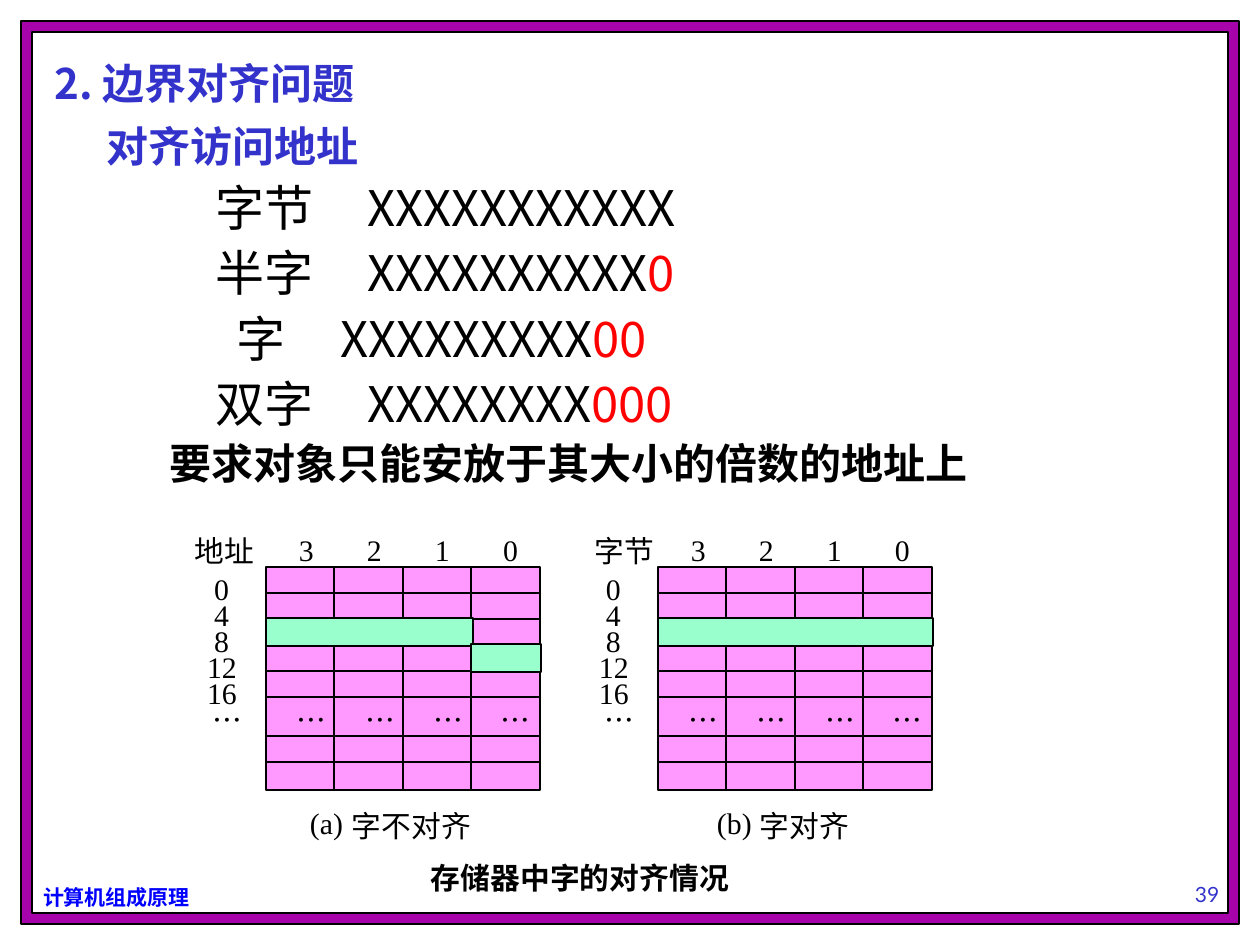
from lxml import etree
from pptx import Presentation
from pptx.dml.color import RGBColor
from pptx.enum.shapes import MSO_CONNECTOR, MSO_SHAPE
from pptx.enum.text import MSO_ANCHOR, PP_ALIGN
from pptx.oxml.ns import qn
from pptx.util import Pt

RECT = MSO_SHAPE.RECTANGLE
STRAIGHT = MSO_CONNECTOR.STRAIGHT
LEFT = PP_ALIGN.LEFT
MIDDLE = MSO_ANCHOR.MIDDLE
PX = 914400 // 126
COLORS = {
    "black": "000000", "white": "FFFFFF", "purple": "A603AB", "indigo": "3333CC",
    "blue": "0000FF", "red": "FF0000", "pink": "FF99FF", "mint": "99FFCC",
}
CJK, SERIF, SANS = "Noto Sans CJK SC", "Times New Roman", "Lato"


def style(r, size, font=CJK, color="black", bold=False):
    r.font.size = Pt(size)
    r.font.name = font
    r.font.bold = bold
    r.font.color.rgb = RGBColor.from_string(COLORS[color])
    ea = etree.SubElement(r.font._element, qn("a:ea"))
    ea.set("typeface", font)


def box(x, y, w, h, fill, weight=1.25):
    sp = s.shapes.add_shape(RECT, x * PX, y * PX, w * PX, h * PX)
    sp.shadow.inherit = False
    sp.fill.solid()
    sp.fill.fore_color.rgb = RGBColor.from_string(COLORS[fill])
    sp.line.color.rgb = RGBColor.from_string(COLORS["black"])
    sp.line.width = Pt(weight)
    return sp


prs = Presentation()
prs.slide_width, prs.slide_height = 1260 * PX, 945 * PX
s = prs.slides.add_slide(prs.slide_layouts[5])

box(21, 21, 1218, 903, "purple", 0.75)
box(32, 32, 1196, 881, "white", 0.75)

title = s.shapes.title
s.shapes._spTree.append(title._element)
title.left, title.top, title.width, title.height = 42 * PX, 42 * PX, 976 * PX, 82 * PX
tf = title.text_frame
tf.text = "2. 边界对齐问题"
tf.vertical_anchor = MIDDLE
tf.paragraphs[0].alignment = LEFT
style(tf.paragraphs[0].runs[0], 24, color="indigo", bold=True)

body = s.shapes.add_textbox(94 * PX, 116 * PX, 1072 * PX, 336 * PX)
tf = body.text_frame
tf.word_wrap = True
p = tf.paragraphs[0]
p.text = "对齐访问地址"
p.line_spacing = Pt(28)
style(p.runs[0], 24, color="indigo", bold=True)

address_rows = [
    ("字节", 11, "", 109, 261),
    ("半字", 10, "0", 109, 261),
    ("字", 9, "00", 130, 234),
    ("双字", 8, "000", 109, 261),
]
for unit, free_bits, zeros, *stops in address_rows:
    p = tf.add_paragraph()
    tabs = etree.SubElement(p._p.get_or_add_pPr(), qn("a:tabLst"))
    for stop in stops:
        etree.SubElement(tabs, qn("a:tab"), pos=str(stop * PX), algn="l")
    p.line_spacing = Pt(30.3)
    p.space_before = Pt(7)
    for text, color in ((f"\t{unit}\t" + "X" * free_bits, "black"), (zeros, "red")):
        if text:
            r = p.add_run()
            r.text = text
            style(r, 28, color=color)

p = tf.add_paragraph()
p.text = "要求对象只能安放于其大小的倍数的地址上"
p._p.get_or_add_pPr().set("marL", str(63 * PX))
p.line_spacing = Pt(26)
p.space_before = Pt(6)
style(p.runs[0], 24, bold=True)

labels = [
    (43, 885, 155, "计算机组成原理", 12, CJK, "blue", True),
    (1195, 882, 30, "39", 12, SANS, "indigo", False),
    (431, 860, 302, "存储器中字的对齐情况", 17, CJK, "black", True),
]
GRID_TOP, GRID_W, GRID_H = 567, 274, 223
memories = [
    (266, 195, "地址", 310, "(a)", 352, "字不对齐", [(0, 618, 207), (205, 644, 70)]),
    (658, 595, "字节", 717, "(b)", 760, "字对齐", [(0, 618, 275)]),
]
for x, head_x, head, mark_x, mark, name_x, name, words in memories:
    grid = box(x, GRID_TOP, GRID_W, GRID_H, "pink")
    lines = []
    for i in (1, 2, 3):
        cx = x + GRID_W * i // 4
        lines.append((cx, GRID_TOP, cx, GRID_TOP + GRID_H))
    for dy in (26, 52, 78, 104, 130, 169, 195):
        lines.append((x, GRID_TOP + dy, x + GRID_W, GRID_TOP + dy))
    for i, ends in enumerate(lines):
        c = s.shapes.add_connector(STRAIGHT, *[v * PX for v in ends])
        c.line.color.rgb = RGBColor.from_string(COLORS["black"])
        c.line.width = Pt(1.25)
        etree.SubElement(c._element.spPr, qn("a:effectLst"))
        if i == 1:
            c.begin_connect(grid, 0)
            c.end_connect(grid, 2)
    for dx, y, w in words:
        box(x + dx, y, w, 28, "mint")

    texts = [(head_x, 533, head, CJK), (mark_x, 805, mark, SERIF),
             (name_x, 808, name, CJK), (x - 54, 702, "…", CJK)]
    for i, address in enumerate(("0", "4", "8", "12", "16")):
        texts.append((x - 45 - 7 * len(address), 571 + 26 * i, address, SERIF))
    for i, byte in enumerate("3210"):
        texts.append((x + 33 + 68 * i, 532, byte, SERIF))
        texts.append((x + 31 + 68 * i, 702, "…", CJK))
    for tx, ty, text, font in texts:
        w = len(text) * (31 if font == CJK else 16)
        labels.append((tx, ty, w, text, 17, font, "black", False))

for x, y, w, text, size, font, color, bold in labels:
    tf = s.shapes.add_textbox(x * PX, y * PX, w * PX, 2 * size * PX).text_frame
    tf.word_wrap = True
    tf.margin_left = tf.margin_right = tf.margin_top = tf.margin_bottom = 0
    tf.text = text
    style(tf.paragraphs[0].runs[0], size, font, color, bold)

prs.save("out.pptx")
